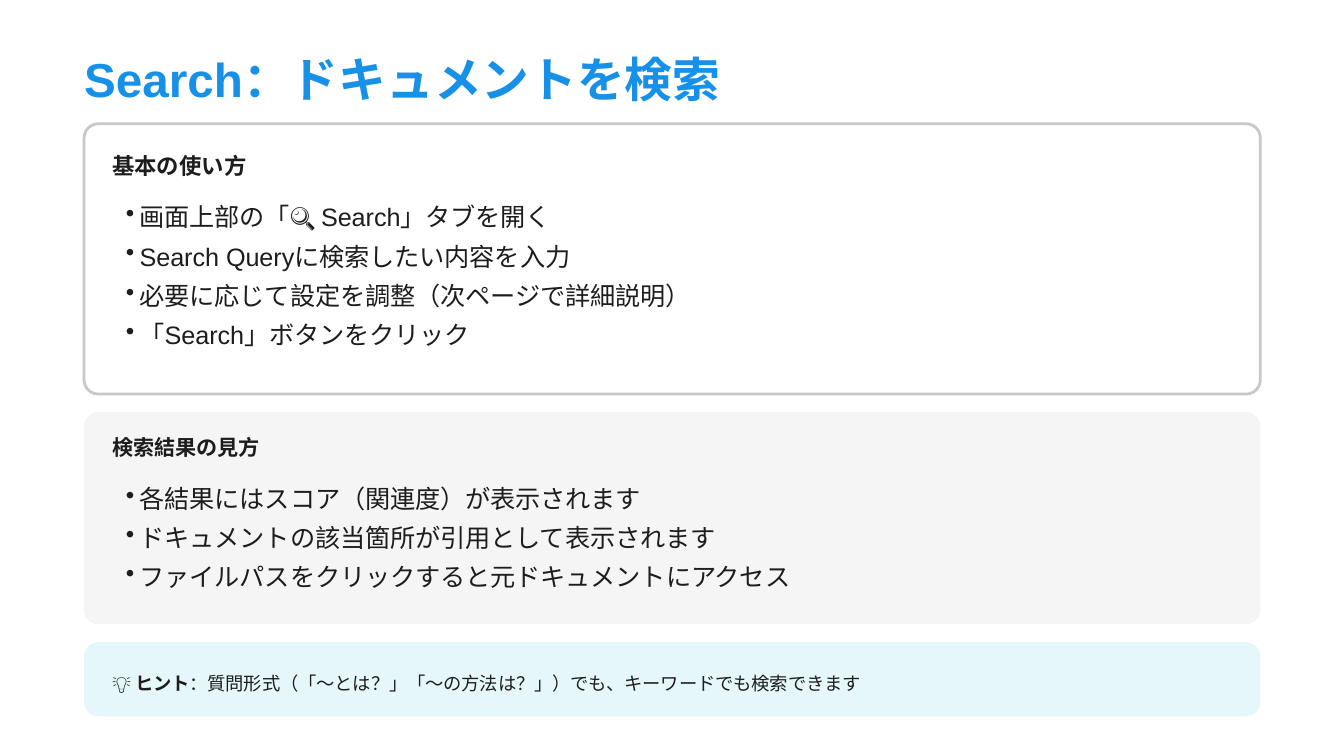
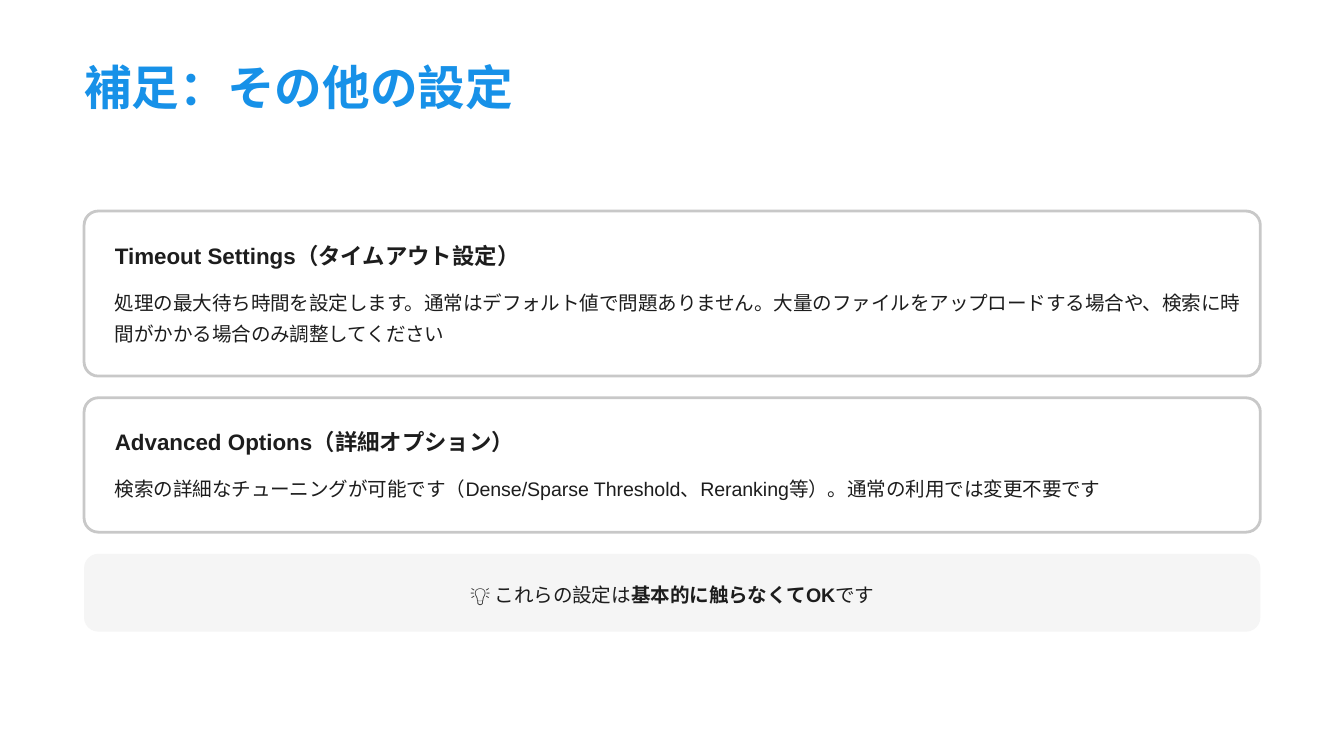
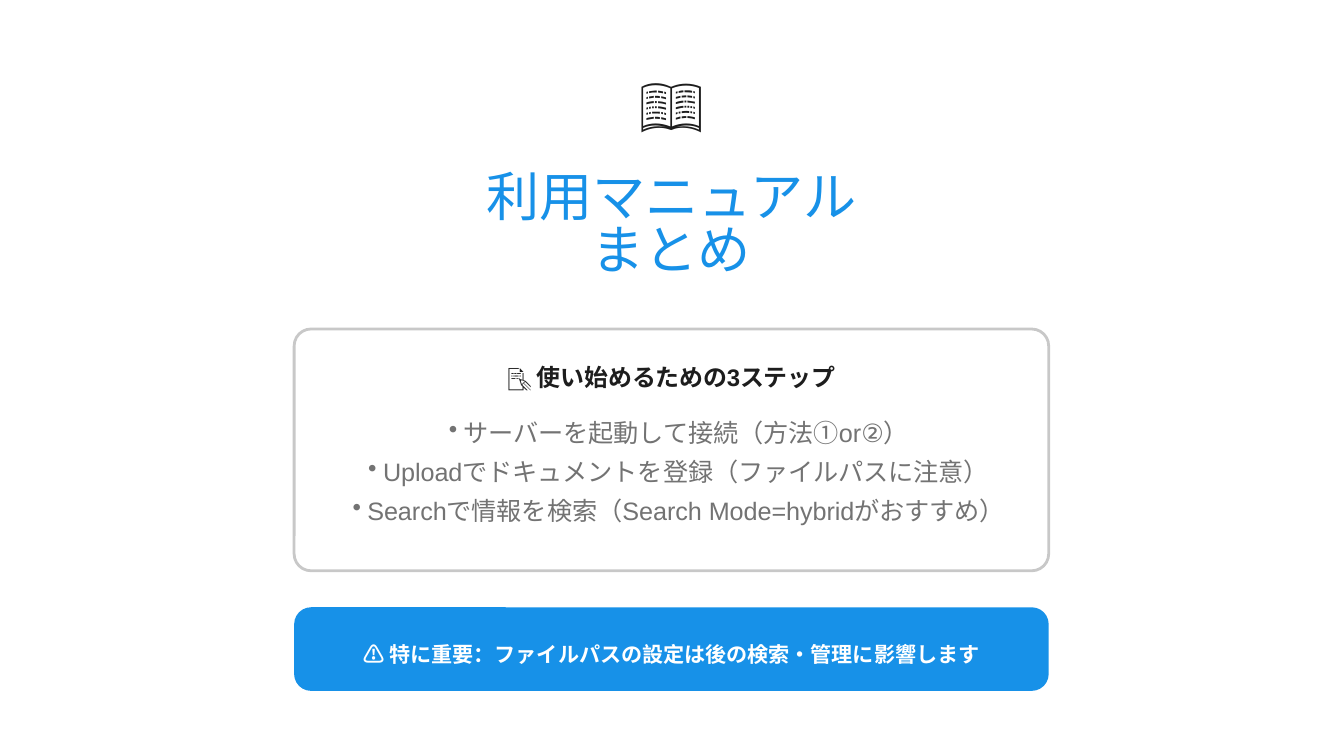
from pptx import Presentation
from pptx.dml.color import RGBColor
from pptx.enum.shapes import MSO_SHAPE as Preset
from pptx.enum.text import PP_ALIGN as Align
from pptx.oxml.ns import qn
from pptx.util import Cm, Pt
from lxml.etree import SubElement

FONT = "Arial"
COLORS = {
    "accent": "1791E8", "ink": "1D1D1D", "muted": "737373", "border": "C8C8C8",
    "white": "FFFFFF", "soft": "F5F5F5", "hint": "06B6D4",
}
CARDS = {
    "outlined": {"fill": "white", "line": "border"},
    "soft": {"fill": "soft"},
    "hint": {"fill": "hint", "alpha": 10},
    "banner": {"fill": "accent"},
}
STYLES = {
    "title": {"size": 25.5, "leading": 25.5, "color": "accent", "bold": True, "after": 15},
    "heading": {"size": 12, "leading": 14.4, "bold": True, "after": 7.5},
    "subheading": {"size": 11.25, "leading": 13.5, "bold": True, "after": 7.5},
    "steps_heading": {"size": 12.75, "leading": 15.3, "bold": True, "after": 9, "center": True},
    "list": {"size": 13.5, "leading": 21, "bullet": 0.26},
    "steps": {"size": 13.5, "leading": 21, "bullet": 0.28, "color": "muted", "center": True},
    "body": {"size": 10.5, "leading": 16.8},
    "hint": {"size": 9.75, "leading": 15.6},
    "note": {"size": 10.5, "leading": 14.7, "center": True},
    "warning": {"size": 11.25, "leading": 18, "color": "white", "bold": True, "center": True},
    "icon": {"size": 33, "leading": 46.2, "center": True},
    "closing": {"size": 28.5, "leading": 28.5, "color": "accent", "center": True},
}
WIDE = {"left": 1.59, "width": 22.23, "radius": 0.27}
NARROW = {"left": 5.56, "width": 14.26, "radius": 0.32}

SLIDES = [
    {
        "frame": WIDE, "top": 2.34, "gap": 0.34,
        "labels": [("title", (1.59, 1.12, 12.4, 0.89), ["Search：ドキュメントを検索"])],
        "cards": [
            ("outlined", 5.11, 0.53, 0.53, [
                ("heading", ["基本の使い方"]),
                ("list", [
                    "画面上部の「🔍 Search」タブを開く",
                    "Search Queryに検索したい内容を入力",
                    "必要に応じて設定を調整（次ページで詳細説明）",
                    "「Search」ボタンをクリック",
                ]),
            ]),
            ("soft", 4.01, 0.53, 0.43, [
                ("subheading", ["検索結果の見方"]),
                ("list", [
                    "各結果にはスコア（関連度）が表示されます",
                    "ドキュメントの該当箇所が引用として表示されます",
                    "ファイルパスをクリックすると元ドキュメントにアクセス",
                ]),
            ]),
            ("hint", 1.4, 0.53, 0.43, [
                ("hint", [("💡 ", "ヒント", "：質問形式（「〜とは？」「〜の方法は？」）でも、キーワードでも検索できます")]),
            ]),
        ],
    },
    {
        "frame": WIDE, "top": 3.99, "gap": 0.41,
        "labels": [("title", (1.59, 1.27, 11.35, 0.89), ["補足：その他の設定"])],
        "cards": [
            ("outlined", 3.12, 0.58, 0.58, [
                ("heading", ["Timeout Settings（タイムアウト設定）"]),
                ("body", ["処理の最大待ち時間を設定します。通常はデフォルト値で問題ありません。"
                          "大量のファイルをアップロードする場合や、検索に時間がかかる場合のみ調整してください"]),
            ]),
            ("outlined", 2.54, 0.58, 0.58, [
                ("heading", ["Advanced Options（詳細オプション）"]),
                ("body", ["検索の詳細なチューニングが可能です（Dense/Sparse Threshold、Reranking等）。"
                          "通常の利用では変更不要です"]),
            ]),
            ("soft", 1.47, 0.58, 0.48, [
                ("note", [("💡 これらの設定は", "基本的に触らなくてOK", "です")]),
            ]),
        ],
    },
    {
        "frame": NARROW, "top": 6.22, "gap": 0.69,
        "labels": [
            ("icon", (11.96, 0.97, 1.47, 1.63), ["📖"]),
            ("closing", (9.04, 3.28, 7.29, 2.01), ["利用マニュアル", "まとめ"]),
        ],
        "cards": [
            ("outlined", 4.57, 0.74, 0.64, [
                ("steps_heading", ["📝 使い始めるための3ステップ"]),
                ("steps", [
                    "サーバーを起動して接続（方法①or②）",
                    "Uploadでドキュメントを登録（ファイルパスに注意）",
                    "Searchで情報を検索（Search Mode=hybridがおすすめ）",
                ]),
            ]),
            ("banner", 1.58, 0.64, 0.48, [
                ("warning", ["⚠️ 特に重要：ファイルパスの設定は後の検索・管理に影響します"]),
            ]),
        ],
    },
]
TEXT_STRETCH = 1.02


def color(name):
    return RGBColor.from_string(COLORS[name])


def add_bullet(para, indent):
    properties = para._p.get_or_add_pPr()
    properties.set("marL", str(Cm(indent)))
    properties.set("indent", str(-Cm(indent)))
    SubElement(properties, qn("a:buChar")).set("char", "•")


def add_text(page, style_name, place, lines):
    style = STYLES[style_name]
    bullet = style.get("bullet", 0)
    frame = page.shapes.add_textbox(*map(Cm, place)).text_frame
    frame.word_wrap = True
    frame.margin_left = Cm(bullet)
    frame.margin_top = frame.margin_right = frame.margin_bottom = 0
    for number, line in enumerate(lines):
        para = frame.add_paragraph() if number else frame.paragraphs[0]
        para.line_spacing = Pt(style["leading"])
        if "after" in style:
            para.space_after = Pt(style["after"])
        if style.get("center"):
            para.alignment = Align.CENTER
        if bullet:
            add_bullet(para, bullet)
        spans = line if isinstance(line, tuple) else (line,)
        for position, words in enumerate(spans):
            span = para.add_run()
            span.text = words
            span.font.name = FONT
            span.font.size = Pt(style["size"])
            span.font.bold = style.get("bold", False) or position % 2 == 1
            span.font.color.rgb = color(style.get("color", "ink"))


def add_card(page, kind, place, radius):
    look = CARDS[kind]
    card = page.shapes.add_shape(Preset.ROUNDED_RECTANGLE, *map(Cm, place))
    card.shadow.inherit = False
    card.adjustments[0] = radius / place[3]
    card.fill.solid()
    card.fill.fore_color.rgb = color(look["fill"])
    if "alpha" in look:
        tint = card.fill._xPr.find(".//" + qn("a:srgbClr"))
        SubElement(tint, qn("a:alpha")).set("val", str(look["alpha"] * 1000))
    if "line" in look:
        card.line.color.rgb = color(look["line"])
        card.line.width = Pt(1.5)
    else:
        card.line.fill.background()


def fill_card(page, place, side, pad, texts):
    left, top, width, height = place
    inner = width - 2 * side
    bottom = top + height - pad
    cursor = top + pad
    for style_name, lines in texts:
        style = STYLES[style_name]
        text_width = inner if "bullet" in style else inner * TEXT_STRETCH
        shift = (inner - text_width) / 2 if style.get("center") else 0
        after = style.get("after")
        text_height = Pt(style["leading"]).cm if after else bottom - cursor
        add_text(page, style_name, (left + side + shift, cursor, text_width, text_height), lines)
        cursor += text_height + Pt(after or 0).cm


def build_slide(deck, content):
    page = deck.slides.add_slide(deck.slide_layouts[6])
    for label in content["labels"]:
        add_text(page, *label)
    frame = content["frame"]
    top = content["top"]
    for kind, height, side, pad, texts in content["cards"]:
        place = (frame["left"], top, frame["width"], height)
        add_card(page, kind, place, frame["radius"])
        fill_card(page, place, side, pad, texts)
        top += height + content["gap"]


def main():
    deck = Presentation()
    deck.slide_width, deck.slide_height = Cm(25.4), Cm(14.29)
    for content in SLIDES:
        build_slide(deck, content)
    deck.save("out.pptx")


if __name__ == "__main__":
    main()
